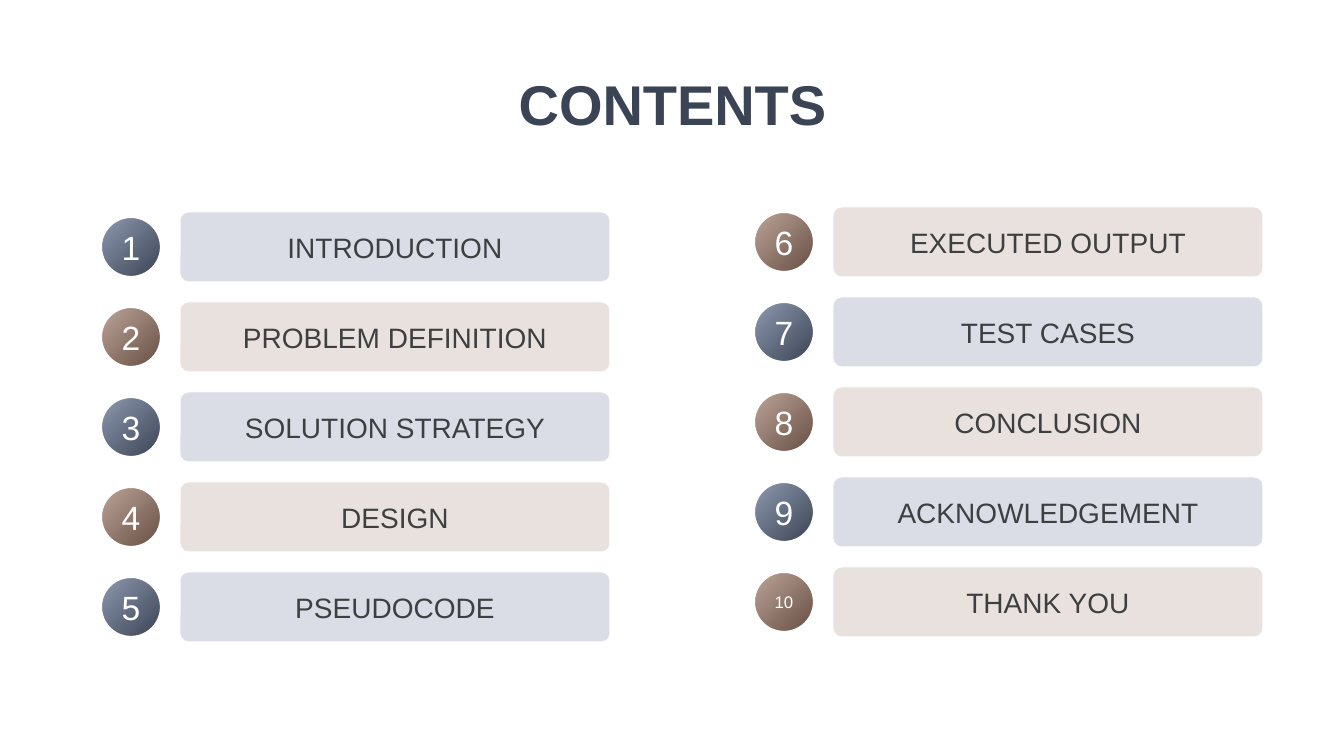
from pptx import Presentation
from pptx.dml.color import RGBColor
from pptx.enum.shapes import MSO_SHAPE
from pptx.enum.text import MSO_ANCHOR, PP_ALIGN
from pptx.util import Emu, Pt

PX_PER_INCH = 100.8
WHITE = RGBColor(0xFF, 0xFF, 0xFF)
NAVY = RGBColor(0x3B, 0x44, 0x55)
SLATE = RGBColor(0x8F, 0x9A, 0xB0)
PALE_BLUE = RGBColor(0xDA, 0xDD, 0xE5)
BROWN = RGBColor(0x68, 0x4F, 0x44)
TAN = RGBColor(0xBD, 0xA4, 0x99)
PALE_TAN = RGBColor(0xE9, 0xE1, 0xDD)
INK = RGBColor(0x3D, 0x3F, 0x41)

# Badge gradient start, badge gradient end, bar fill
BLUE_THEME = (SLATE, NAVY, PALE_BLUE)
TAN_THEME = (TAN, BROWN, PALE_TAN)

TOPICS = [
    "INTRODUCTION", "PROBLEM DEFINITION", "SOLUTION STRATEGY", "DESIGN",
    "PSEUDOCODE", "EXECUTED OUTPUT", "TEST CASES", "CONCLUSION",
    "ACKNOWLEDGEMENT", "THANK YOU",
]
COLUMNS = [(101, 212), (754, 207)]  # left and top of each column
ROWS = 5
PITCH = 90


def px(n):
    return Emu(round(n * 914400 / PX_PER_INCH))


class Deck:
    def __init__(self, width, height, font="Arial"):
        self.font = font
        self.prs = Presentation()
        self.prs.slide_width = px(width)
        self.prs.slide_height = px(height)
        self.s = self.prs.slides.add_slide(self.prs.slide_layouts[6])

    def label(self, sp, text, size, color, bold=False):
        tf = sp.text_frame
        tf.text = text
        tf.word_wrap = True
        tf.vertical_anchor = MSO_ANCHOR.MIDDLE
        p = tf.paragraphs[0]
        p.alignment = PP_ALIGN.CENTER
        font = p.runs[0].font
        font.name = self.font
        font.size = Pt(size)
        font.bold = bold
        font.color.rgb = color

    def shape(self, kind, x, y, w, h, line_width):
        sp = self.s.shapes.add_shape(kind, px(x), px(y), px(w), px(h))
        sp.shadow.inherit = False
        sp.line.color.rgb = WHITE
        sp.line.width = Pt(line_width)
        return sp

    def title(self, text, x, y, w, h):
        sp = self.s.shapes.add_textbox(px(x), px(y), px(w), px(h))
        self.label(sp, text, 40, NAVY, bold=True)

    def badge(self, number, x, y, start, end):
        sp = self.shape(MSO_SHAPE.OVAL, x, y, 60, 60, 1.5)
        sp.fill.gradient()
        sp.fill.gradient_angle = 315
        for stop, color in zip(sp.fill.gradient_stops, (start, end)):
            stop.color.rgb = color
        self.label(sp, str(number), 24 if number < 10 else 12, WHITE)

    def bar(self, text, x, y, fill):
        sp = self.shape(MSO_SHAPE.ROUNDED_RECTANGLE, x, y, 430, 70, 0.75)
        sp.adjustments[0] = 0.12
        sp.fill.solid()
        sp.fill.fore_color.rgb = fill
        tf = sp.text_frame
        tf.margin_left = tf.margin_right = tf.margin_top = tf.margin_bottom = 0
        self.label(sp, text, 20, INK)


def main():
    deck = Deck(1344, 756)
    deck.title("CONTENTS", 359, 53, 627, 101)

    # Numbered topics, column by column, in alternating colours
    for i, topic in enumerate(TOPICS):
        column, row = divmod(i, ROWS)
        x, top = COLUMNS[column]
        y = top + row * PITCH
        start, end, fill = TAN_THEME if i % 2 else BLUE_THEME
        deck.badge(i + 1, x, y + 5, start, end)
        deck.bar(topic, x + 79, y, fill)

    deck.prs.save("out.pptx")


if __name__ == "__main__":
    main()
